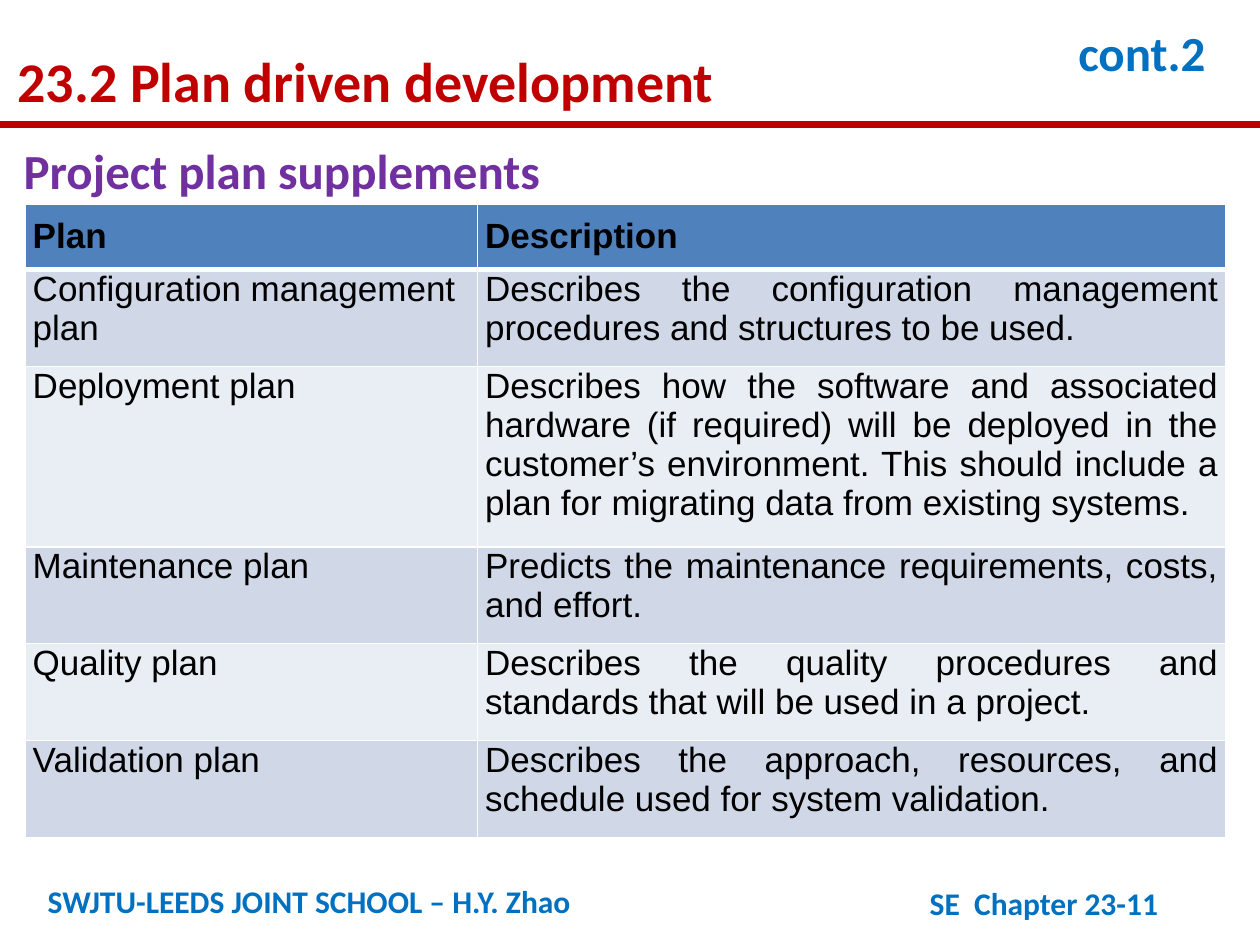
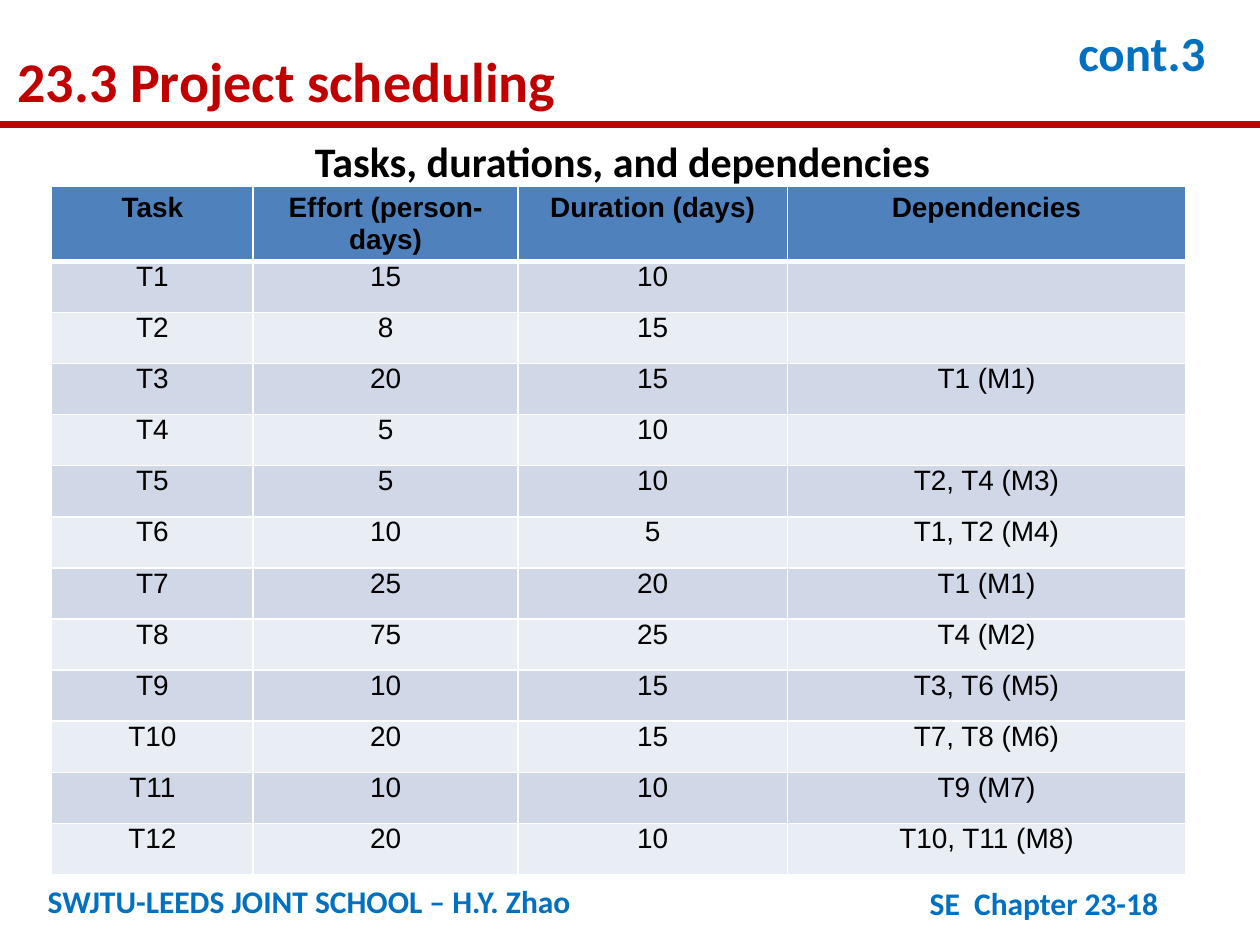
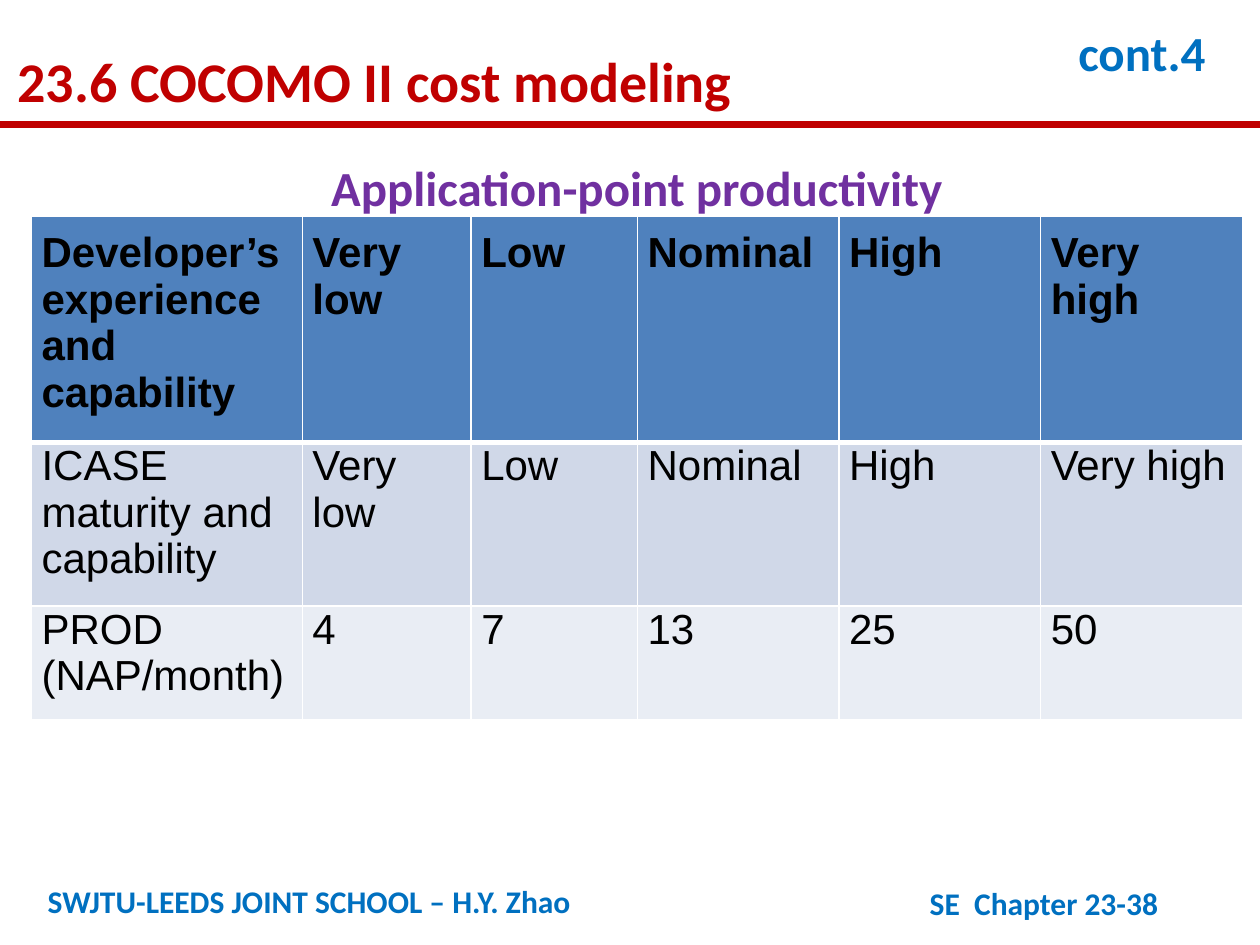
"""Build three project planning slides with a shared heading, footer and table style."""
from dataclasses import dataclass

from lxml import etree
from pptx import Presentation
from pptx.dml.color import RGBColor
from pptx.enum.shapes import MSO_CONNECTOR
from pptx.enum.text import MSO_AUTO_SIZE, PP_ALIGN
from pptx.oxml.ns import qn
from pptx.util import Inches, Pt

RED = RGBColor(0xC0, 0x00, 0x00)
BLUE = RGBColor(0x00, 0x70, 0xC0)
PURPLE = RGBColor(0x70, 0x30, 0xA0)
BLACK = RGBColor(0x00, 0x00, 0x00)
WHITE = RGBColor(0xFF, 0xFF, 0xFF)
HEADER_FILL = RGBColor(0x4F, 0x81, 0xBD)
BAND_FILLS = (RGBColor(0xD0, 0xD8, 0xE8), RGBColor(0xE9, 0xED, 0xF4))

LEFT, CENTER, JUSTIFY = PP_ALIGN.LEFT, PP_ALIGN.CENTER, PP_ALIGN.JUSTIFY
GROW, FIXED = MSO_AUTO_SIZE.SHAPE_TO_FIT_TEXT, MSO_AUTO_SIZE.NONE
STRAIGHT = MSO_CONNECTOR.STRAIGHT

HEADING_FONT = "Calibri"
TABLE_FONT = "Arial"
SCHOOL = "SWJTU-LEEDS JOINT SCHOOL – H.Y. Zhao"
THIN, THICK = 1, 3


@dataclass(frozen=True)
class Label:
    """A bold line of text; box holds left, top, width and height in inches."""
    text: str
    box: tuple[float, float, float, float]
    size: int
    color: RGBColor
    line_spacing: float | Pt | None = None
    auto_size: MSO_AUTO_SIZE = GROW
    wrap: bool = True


@dataclass(frozen=True)
class Grid:
    """A banded table with its header in the first row; lengths are inches."""
    left: float
    top: float
    columns: tuple[float, ...]
    heights: tuple[float, ...]
    rows: tuple[tuple[str, ...], ...]
    size: int
    side_margin: float
    end_margin: float
    first_align: PP_ALIGN
    other_align: PP_ALIGN


@dataclass(frozen=True)
class Page:
    """The contents of one slide that differ from the others."""
    title: str
    continuation: int
    number: int
    subtitle: Label
    grid: Grid


PAGES = (
    Page(
        "23.2 Plan driven development", 2, 11,
        Label("Project plan supplements", (0.09, 1.07, 4.43, 0.57), 28, PURPLE, wrap=False),
        Grid(
            0.2, 1.62, (3.59, 5.94), (0.52, 0.77, 1.43, 0.77, 0.77, 0.77),
            (
                ("Plan", "Description"),
                ("Configuration management plan",
                 "Describes the configuration management procedures and structures to be used."),
                ("Deployment plan",
                 "Describes how the software and associated hardware (if required) will be "
                 "deployed in the customer’s environment. This should include a plan for "
                 "migrating data from existing systems."),
                ("Maintenance plan",
                 "Predicts the maintenance requirements, costs, and effort."),
                ("Quality plan",
                 "Describes the quality procedures and standards that will be used in a project."),
                ("Validation plan",
                 "Describes the approach, resources, and schedule used for system validation."),
            ),
            20, 0.06, 0.1, LEFT, JUSTIFY,
        ),
    ),
    Page(
        "23.3 Project scheduling", 3, 18,
        Label("Tasks, durations, and dependencies", (2.4, 1.03, 5.22, 0.5), 24, BLACK, wrap=False),
        Grid(
            0.41, 1.48, (1.6, 2.1, 2.14, 3.16), (0.59,) + (4.87 / 12,) * 12,
            (
                ("Task", "Effort (person-days)", "Duration (days)", "Dependencies"),
                ("T1", "15", "10", ""),
                ("T2", "8", "15", ""),
                ("T3", "20", "15", "T1 (M1)"),
                ("T4", "5", "10", ""),
                ("T5", "5", "10", "T2, T4 (M3)"),
                ("T6", "10", "5", "T1, T2 (M4)"),
                ("T7", "25", "20", "T1 (M1)"),
                ("T8", "75", "25", "T4 (M2)"),
                ("T9", "10", "15", "T3, T6 (M5)"),
                ("T10", "20", "15", "T7, T8 (M6)"),
                ("T11", "10", "10", "T9 (M7)"),
                ("T12", "20", "10", "T10, T11 (M8)"),
            ),
            16, 0.06, 0.05, CENTER, CENTER,
        ),
    ),
    Page(
        "23.6 COCOMO II cost modeling", 4, 38,
        Label("Application-point productivity", (2.53, 1.2, 5.11, 0.57), 28, PURPLE, wrap=False),
        Grid(
            0.25, 1.72, (2.15, 1.34, 1.32, 1.6, 1.6, 1.6), (1.79, 1.3, 0.9),
            (
                ("Developer’s experience and capability",
                 "Very low", "Low", "Nominal", "High", "Very high"),
                ("ICASE maturity and capability",
                 "Very low", "Low", "Nominal", "High", "Very high"),
                ("PROD (NAP/month)", "4", "7", "13", "25", "50"),
            ),
            24, 0.08, 0.1, LEFT, JUSTIFY,
        ),
    ),
)


def style_font(font, name: str, size: int, color: RGBColor, bold: bool) -> None:
    """Apply a typeface, size, colour and weight."""
    font.name = name
    font.size = Pt(size)
    font.color.rgb = color
    font.bold = bold


def add_label(slide, label: Label) -> None:
    """Draw one bold heading or footer line."""
    frame = slide.shapes.add_textbox(*map(Inches, label.box)).text_frame
    frame.text = label.text
    frame.word_wrap = label.wrap
    frame.auto_size = label.auto_size
    paragraph = frame.paragraphs[0]
    paragraph.line_spacing = label.line_spacing
    style_font(paragraph.runs[0].font, HEADING_FONT, label.size, label.color, True)


def add_title_rule(slide) -> None:
    """Draw the red rule below the title."""
    rule = slide.shapes.add_connector(STRAIGHT, 0, Inches(0.99), Inches(10), Inches(0.99))
    rule.line.color.rgb = RED
    rule.line.width = Pt(4)
    etree.SubElement(rule._element.spPr, qn("a:effectLst"))


def add_border(cell, side: str, points: int) -> None:
    """Add a white border to one side of a cell."""
    properties = cell._tc.get_or_add_tcPr()
    border = etree.SubElement(properties, qn(f"a:ln{side}"), w=str(Pt(points)))
    fill = etree.SubElement(border, qn("a:solidFill"))
    etree.SubElement(fill, qn("a:srgbClr"), val=str(WHITE))


def style_cell(cell, grid: Grid, row: int, column: int) -> None:
    """Set the margins, borders, fill and font of a cell from its place in the grid."""
    is_header = row == 0
    cell.margin_left = cell.margin_right = Inches(grid.side_margin)
    cell.margin_top = Inches(grid.end_margin if is_header else 0)
    cell.margin_bottom = Inches(grid.end_margin)
    add_border(cell, "L", THIN)
    add_border(cell, "R", THIN)
    add_border(cell, "T", THICK if row == 1 else THIN)
    add_border(cell, "B", THICK if is_header else THIN)
    cell.fill.solid()
    cell.fill.fore_color.rgb = HEADER_FILL if is_header else BAND_FILLS[(row - 1) % 2]
    paragraph = cell.text_frame.paragraphs[0]
    paragraph.alignment = grid.first_align if column == 0 else grid.other_align
    for run in paragraph.runs:
        style_font(run.font, TABLE_FONT, grid.size, BLACK, is_header)


def add_grid(slide, grid: Grid) -> None:
    """Draw the table of a slide."""
    table = slide.shapes.add_table(
        len(grid.rows), len(grid.columns), Inches(grid.left), Inches(grid.top),
        Inches(sum(grid.columns)), Inches(sum(grid.heights)),
    ).table
    for column, width in zip(table.columns, grid.columns):
        column.width = Inches(width)
    for row, height in zip(table.rows, grid.heights):
        row.height = Inches(height)
    for row_index, texts in enumerate(grid.rows):
        for column_index, text in enumerate(texts):
            cell = table.cell(row_index, column_index)
            cell.text_frame.text = text
            style_cell(cell, grid, row_index, column_index)


def add_page(presentation, page: Page) -> None:
    """Add a slide with its frame, table and headings."""
    slide = presentation.slides.add_slide(presentation.slide_layouts[6])
    add_title_rule(slide)
    add_grid(slide, page.grid)
    for label in (
        Label(SCHOOL, (0.28, 6.95, 6.31, 0.4), 18, BLUE, auto_size=FIXED),
        Label(f"SE  Chapter 23-{page.number}", (7.28, 6.97, 2.61, 0.4), 18, BLUE,
              auto_size=FIXED),
        Label(page.title, (0.04, 0.21, 8.43, 0.7), 32, RED, 1.2),
        Label(f"cont.{page.continuation}", (8.46, 0.21, 1.5, 0.5), 28, BLUE, Pt(28)),
        page.subtitle,
    ):
        add_label(slide, label)


def main() -> None:
    """Build and save the slides."""
    presentation = Presentation()
    presentation.slide_width = Inches(10)
    presentation.slide_height = Inches(7.5)
    for page in PAGES:
        add_page(presentation, page)
    presentation.save("out.pptx")


if __name__ == "__main__":
    main()
